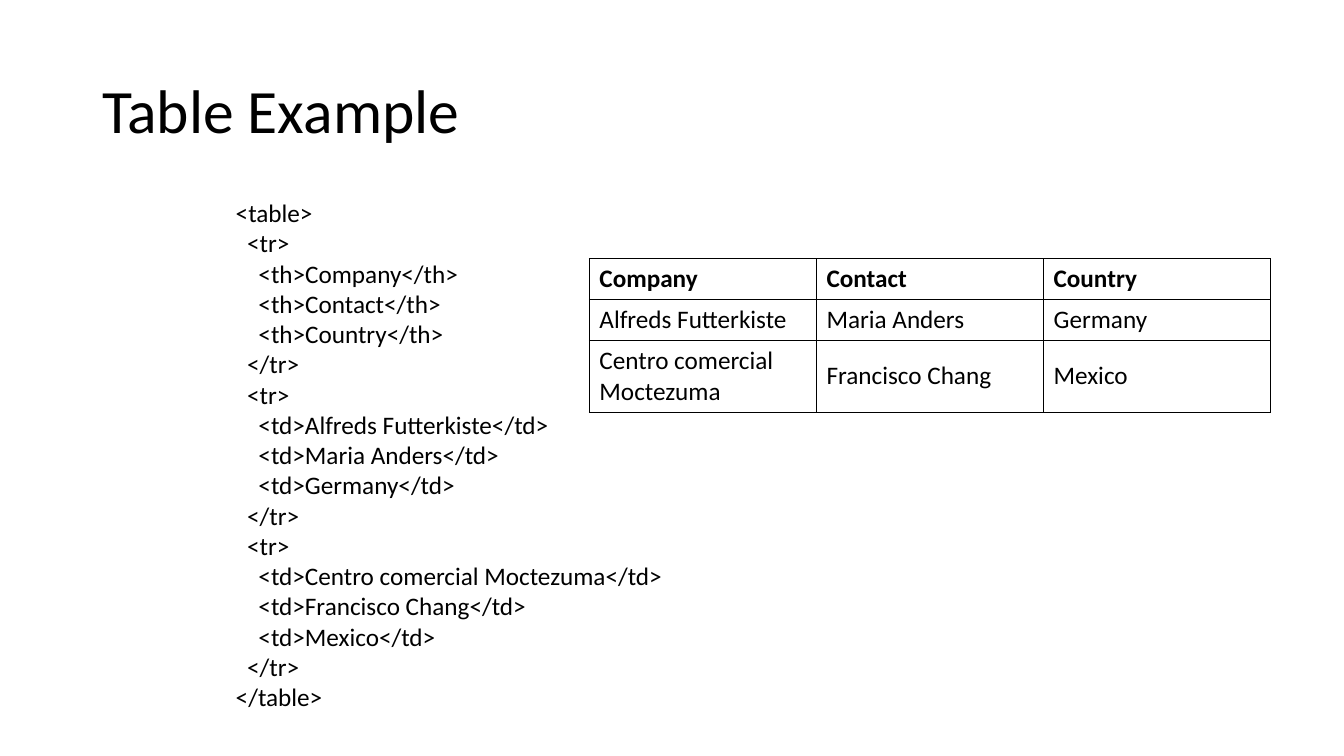
from dataclasses import dataclass

from lxml.etree import SubElement
from pptx import Presentation
from pptx.dml.color import RGBColor
from pptx.enum.text import MSO_VERTICAL_ANCHOR as Anchor
from pptx.oxml.ns import qn
from pptx.slide import Slide
from pptx.table import _Cell as Cell
from pptx.text.text import TextFrame
from pptx.util import Pt

BLACK = "000000"
FONT = "Calibri"
INDENT = "  "


@dataclass(frozen=True)
class Row:
    tag: str
    values: tuple[str, str, str]
    height: float


ROWS = [
    Row("th", ("Company", "Contact", "Country"), 29.2),
    Row("td", ("Alfreds Futterkiste", "Maria Anders", "Germany"), 29.2),
    Row("td", ("Centro comercial Moctezuma", "Francisco Chang", "Mexico"), 51.1),
]


def color(value: str) -> RGBColor:
    return RGBColor.from_string(value)


def write(frame: TextFrame, text: str, *, size: float = 18, bold: bool = False,
          spacing: float = 1.0) -> None:
    para = frame.paragraphs[0]
    para.line_spacing = spacing
    para.font.size = Pt(size)
    for number, line in enumerate(text.splitlines()):
        if number:
            para.add_line_break()
        span = para.add_run()
        span.text = line
        span.font.name = FONT
        span.font.size = Pt(size)
        span.font.bold = bold
        span.font.color.rgb = color(BLACK)


def add_box(page: Slide, left: float, top: float, width: float, height: float,
            anchor: Anchor) -> TextFrame:
    box = page.shapes.add_textbox(Pt(left), Pt(top), Pt(width), Pt(height))
    frame = box.text_frame
    frame.word_wrap = True
    frame.vertical_anchor = anchor
    return frame


def add_borders(cell: Cell, value: str, width: float) -> None:
    properties = cell._tc.get_or_add_tcPr()
    for side in ("a:lnL", "a:lnR", "a:lnT", "a:lnB"):
        line = SubElement(properties, qn(side), w=str(Pt(width)))
        fill = SubElement(line, qn("a:solidFill"))
        SubElement(fill, qn("a:srgbClr"), val=value)


def html_source(rows: list[Row]) -> str:
    lines = ["<table>"]
    for row in rows:
        lines.append(f"{INDENT}<tr>")
        lines += [f"{INDENT * 2}<{row.tag}>{value}</{row.tag}>" for value in row.values]
        lines.append(f"{INDENT}</tr>")
    lines.append("</table>")
    return "\n".join(lines)


def add_company_table(page: Slide, rows: list[Row], left: float, top: float,
                      column_width: float) -> None:
    columns = len(rows[0].values)
    height = sum(row.height for row in rows)
    table = page.shapes.add_table(len(rows), columns, Pt(left), Pt(top),
                                  Pt(column_width * columns), Pt(height)).table
    table.first_row = False
    table.horz_banding = False
    for column in table.columns:
        column.width = Pt(column_width)
    for index, row in enumerate(rows):
        table.rows[index].height = Pt(row.height)
        for position, value in enumerate(row.values):
            cell = table.cell(index, position)
            cell.vertical_anchor = Anchor.MIDDLE
            add_borders(cell, BLACK, 0.75)
            cell.fill.background()
            write(cell.text_frame, value, bold=row.tag == "th")


def main() -> None:
    deck = Presentation()
    deck.slide_width = Pt(960)
    deck.slide_height = Pt(540)
    page = deck.slides.add_slide(deck.slide_layouts[6])
    title = add_box(page, 66, 28.8, 828, 104.4, Anchor.MIDDLE)
    write(title, "Table Example", size=44, spacing=0.9)
    source = add_box(page, 161.3, 137.5, 347, 378, Anchor.TOP)
    write(source, html_source(ROWS))
    add_company_table(page, ROWS, 421, 184.8, 162.2)
    deck.save("out.pptx")


if __name__ == "__main__":
    main()
